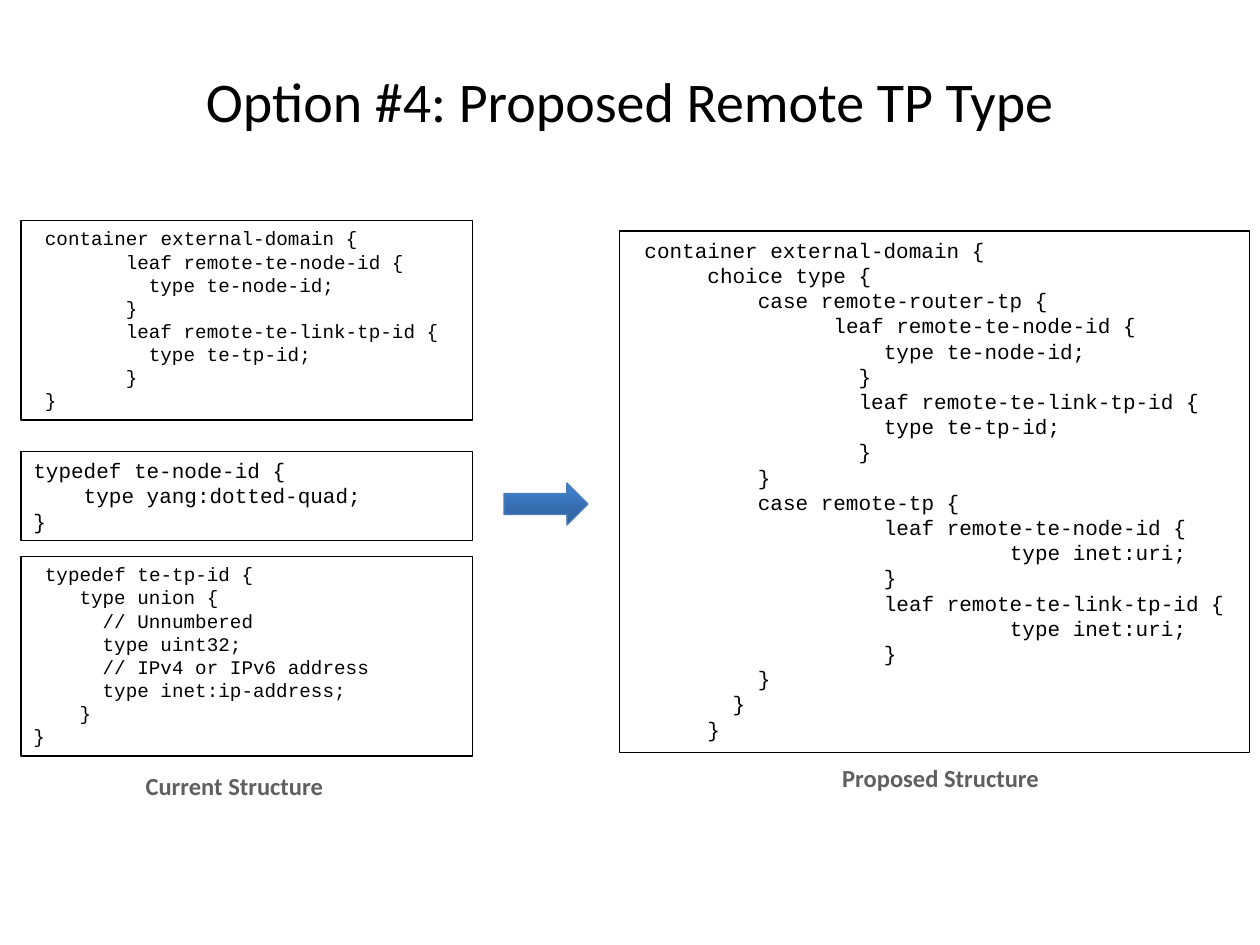
from copy import deepcopy

from pptx import Presentation
from pptx import util as u
from pptx.dml.color import RGBColor
from pptx.enum import shapes, text

PROPOSED = """\
 container external-domain {
      choice type {
          case remote-router-tp {
                leaf remote-te-node-id {
                    type te-node-id;
                  }
                  leaf remote-te-link-tp-id {
                    type te-tp-id;
                  }
          }
          case remote-tp {
                    leaf remote-te-node-id {
                              type inet:uri;
                    }
                    leaf remote-te-link-tp-id {
                              type inet:uri;
                    }
          }
        }
      }"""

CURRENT_DOMAIN = """\
 container external-domain {
        leaf remote-te-node-id {
          type te-node-id;
        }
        leaf remote-te-link-tp-id {
          type te-tp-id;
        }
 }"""

CURRENT_NODE_ID = """\
typedef te-node-id {
    type yang:dotted-quad;
}"""

CURRENT_TP_ID = """\
 typedef te-tp-id {
    type union {
      // Unnumbered
      type uint32;
      // IPv4 or IPv6 address
      type inet:ip-address;
    }
}"""


def rgb(value):
    """Turn a hex string into a colour."""
    return RGBColor.from_string(value)


def assign(target, values):
    """Set each attribute named in a dict of format values."""
    for name, value in values.items():
        setattr(target, name, value)


class SlideBuilder:
    """Holds the style and the current slide."""

    ink, grey, paper, arrow_edge = "000000", "5F5F5F", "FFFFFF", "4B7EBC"
    arrow_stops = [(0, "2F5F99"), (0.8, "3D7CC7"), (1, "3A7CCB")]
    body_font, code_font = "Calibri", "Courier New"
    char_width, line_height = 0.6, 1.2

    def __init__(self, slide):
        self.slide = slide

    def style(self, paragraph, size, color, **font):
        """Format the font of a paragraph."""
        assign(paragraph.font, {"size": u.Pt(size), **font})
        paragraph.font.color.rgb = rgb(color)

    def shape(self, kind, box, line=None):
        """Add a preset shape without shadow; box is in points."""
        shape = self.slide.shapes.add_shape(kind, *map(u.Pt, box))
        shape.shadow.inherit = False
        if line:
            shape.line.color.rgb = rgb(line)
            shape.line.width = u.Pt(0.75)
        else:
            shape.line.fill.background()
        return shape

    def title(self, words, box):
        """Fill and place the title placeholder."""
        title = self.slide.shapes.title
        assign(title, dict(zip(("left", "top", "width", "height"), map(u.Pt, box))))
        title.text_frame.text = words
        assign(title.text_frame, {"vertical_anchor": text.MSO_ANCHOR.MIDDLE})
        heading = title.text_frame.paragraphs[0]
        heading.alignment = text.PP_ALIGN.CENTER
        self.style(heading, 32, self.ink, name=self.body_font)

    def code(self, source, box, size):
        """Add a framed listing; leading columns become paragraph indents."""
        frame = self.shape(shapes.MSO_SHAPE.RECTANGLE, box, self.ink)
        frame.fill.background()
        body = frame.text_frame
        assign(body, {"word_wrap": True, "vertical_anchor": text.MSO_ANCHOR.TOP,
                      "auto_size": text.MSO_AUTO_SIZE.SHAPE_TO_FIT_TEXT})
        lines = source.split("\n")
        body.text = "\n".join(line.strip() for line in lines)
        for paragraph, line in zip(body.paragraphs, lines):
            columns = len(line) - len(line.lstrip())
            indent = u.Pt(columns * size * self.char_width)
            paragraph._p.get_or_add_pPr().set("marL", str(int(indent)))
            assign(paragraph, {"alignment": text.PP_ALIGN.LEFT,
                               "line_spacing": u.Pt(size * self.line_height)})
            self.style(paragraph, size, self.ink, name=self.code_font)

    def caption(self, words, box):
        """Add a bold grey caption."""
        label = self.shape(shapes.MSO_SHAPE.RECTANGLE, box)
        label.fill.solid()
        label.fill.fore_color.rgb = rgb(self.paper)
        body = label.text_frame
        side, edge = u.Pt(5), u.Pt(2.75)
        assign(body, {"text": words, "word_wrap": False,
                      "auto_size": text.MSO_AUTO_SIZE.SHAPE_TO_FIT_TEXT,
                      "vertical_anchor": text.MSO_ANCHOR.TOP,
                      "margin_left": side, "margin_right": side,
                      "margin_top": edge, "margin_bottom": edge})
        body.paragraphs[0].alignment = text.PP_ALIGN.CENTER
        self.style(body.paragraphs[0], 14, self.grey, name=self.body_font, bold=True)

    def arrow(self, box):
        """Add the right arrow with its upward gradient."""
        arrow = self.shape(shapes.MSO_SHAPE.RIGHT_ARROW, box, self.arrow_edge)
        arrow.fill.gradient()
        arrow.fill.gradient_angle = 90
        stop_list = arrow._element.xpath("./p:spPr/a:gradFill/a:gsLst")[0]
        while len(stop_list) < len(self.arrow_stops):
            stop_list.append(deepcopy(stop_list[-1]))
        for stop, (position, color) in zip(arrow.fill.gradient_stops, self.arrow_stops):
            stop.position = position
            stop.color.rgb = rgb(color)


deck = Presentation()
assign(deck, {"slide_width": u.Pt(720), "slide_height": u.Pt(540)})
page = SlideBuilder(deck.slides.add_slide(deck.slide_layouts[5]))

page.title("Option #4: Proposed Remote TP Type", (36, 12, 648, 90))
page.code(PROPOSED, (354, 132, 360, 298), 12)
for listing, top, height, size in [
    (CURRENT_DOMAIN, 126, 114, 11),
    (CURRENT_NODE_ID, 258, 51, 12),
    (CURRENT_TP_ID, 318, 114, 11),
]:
    page.code(listing, (12, top, 258, height), size)
page.arrow((288, 276, 48, 24))
page.caption("Proposed Structure", (475, 433.5, 125, 22.5))
page.caption("Current Structure", (77, 438, 114, 22.5))

deck.save("out.pptx")
